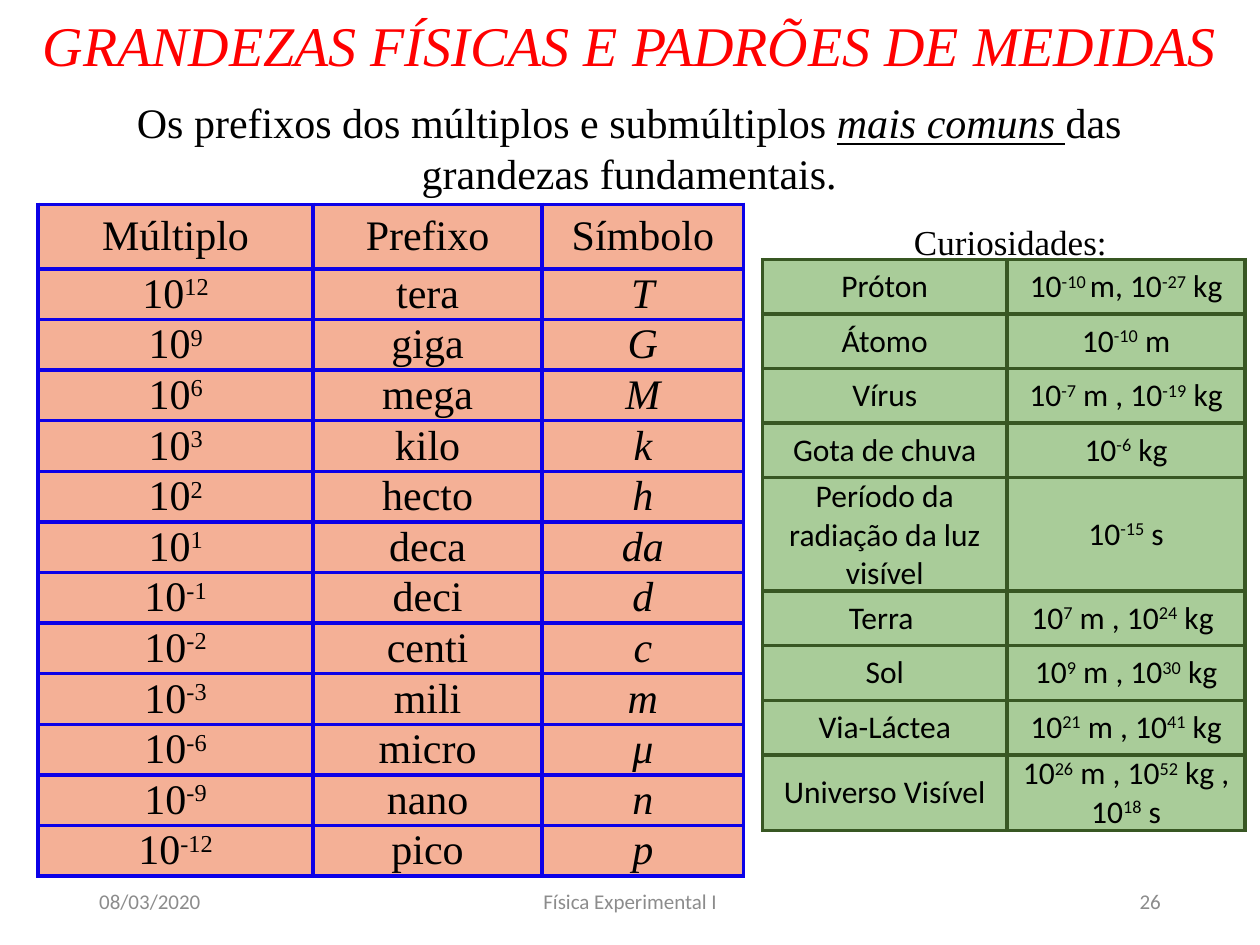
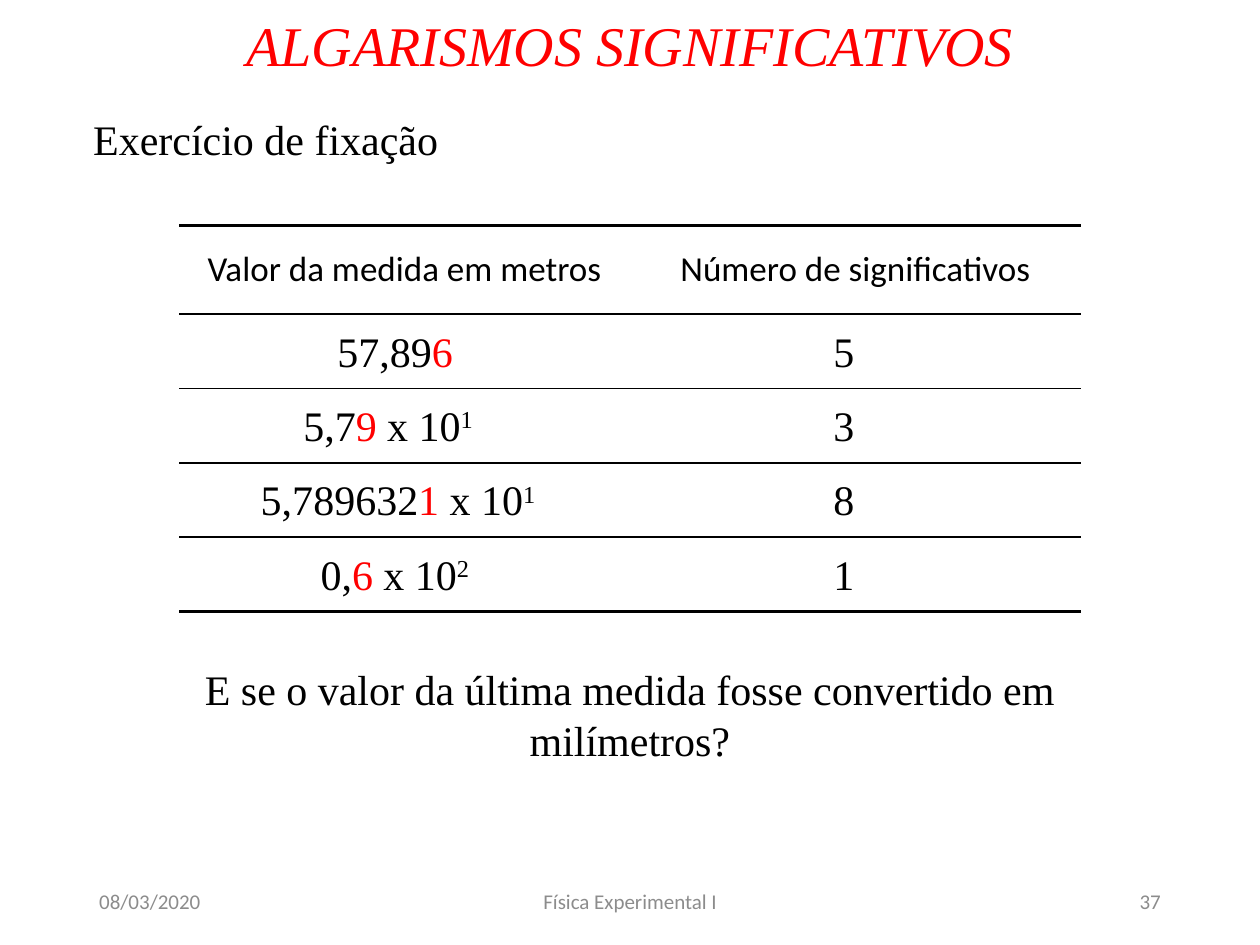
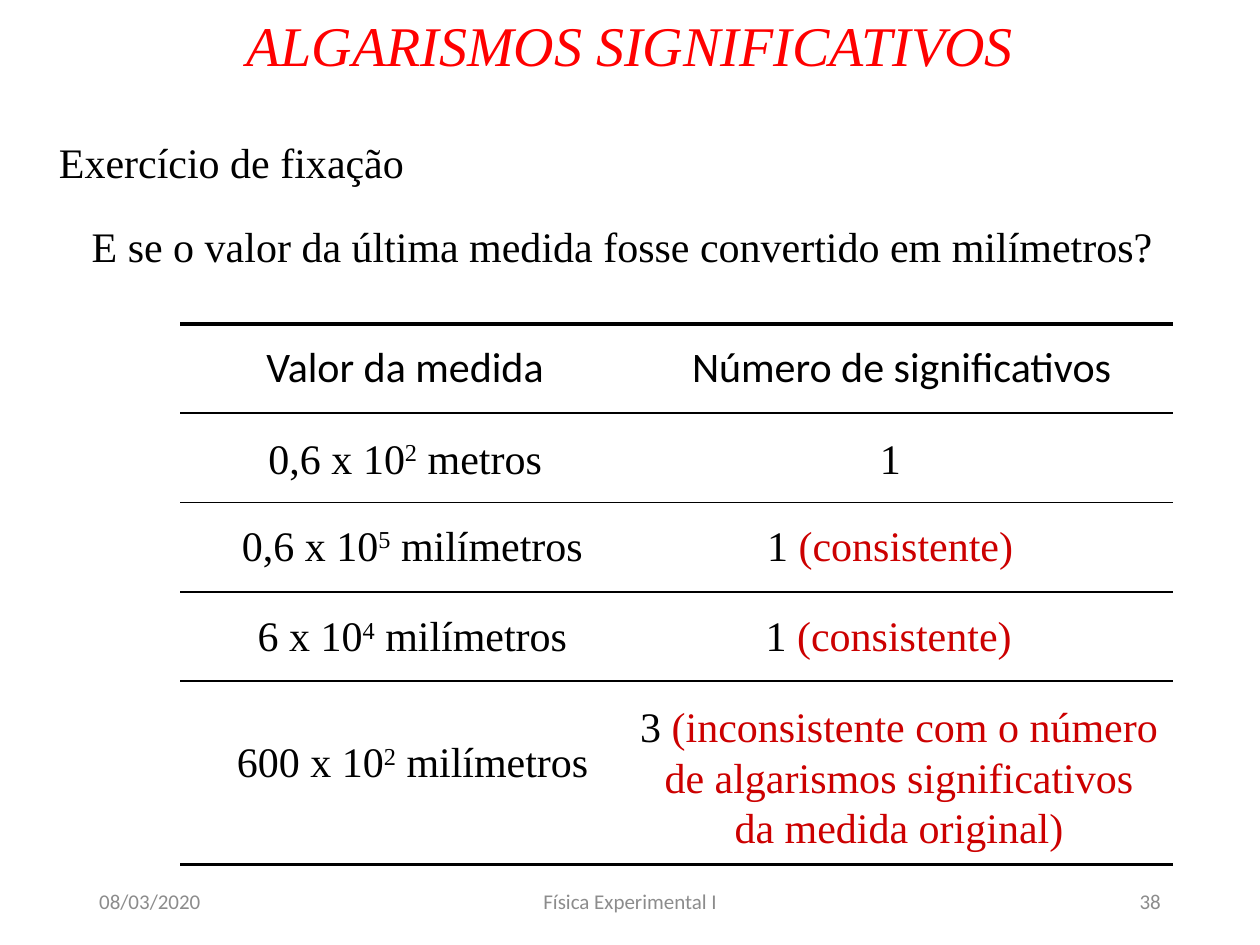
"""Builds three physics slides on unit prefixes and significant figures."""
from dataclasses import dataclass

from lxml import etree
from pptx import Presentation
from pptx import util as u
from pptx.dml.color import RGBColor
from pptx.enum import text
from pptx.oxml import ns


@dataclass(frozen=True)
class Theme:
    serif: str = "Times New Roman"
    sans: str = "Calibri"
    ink: str = "000000"
    red: str = "FF0000"
    dark_red: str = "CC0000"
    gray: str = "8C8C8C"
    blue: str = "0C01E7"
    green: str = "385723"
    salmon: str = "F4B096"
    light_green: str = "A9CC99"
    title: int = 32
    body: int = 24
    label: int = 20
    fact: int = 18
    footer: int = 12
    thick: float = 2.25
    thin: float = 1


theme = Theme()
LEFT, CENTER, RIGHT = text.PP_ALIGN.LEFT, text.PP_ALIGN.CENTER, text.PP_ALIGN.RIGHT
MIDDLE, TOP = text.MSO_ANCHOR.MIDDLE, text.MSO_ANCHOR.TOP
JUSTIFY = text.PP_ALIGN.JUSTIFY


def write(frame, marked, size=theme.body, align=CENTER, font=theme.serif, color=theme.ink):
    """Add runs split at "|"; ^ raises, _ slants, = slants and underlines, ! and # colour."""
    paragraph = frame.paragraphs[0]
    paragraph.alignment = align
    for part in marked.split("|"):
        mark = part[0] if part[0] in "^_=!#" else ""
        run = paragraph.add_run()
        run.text = part[len(mark):]
        run.font.size, run.font.name = u.Pt(size), font
        tint = {"!": theme.red, "#": theme.dark_red}.get(mark, color)
        run.font.color.rgb = RGBColor.from_string(tint)
        if mark == "^":
            run._r.get_or_add_rPr().set("baseline", "30000")
        if mark in ("_", "="):
            run.font.italic = True
            run.font.underline = mark == "="
    return paragraph


def place_text(slide, marked, left, top, width, height=1.27, wrap=False, anchor=TOP, **style):
    """Add a text box measured in centimetres."""
    box = slide.shapes.add_textbox(u.Cm(left), u.Cm(top), u.Cm(width), u.Cm(height))
    box.text_frame.word_wrap = wrap
    box.text_frame.vertical_anchor = anchor
    write(box.text_frame, marked, **style)


prefixes = [("12", "tera", "T"), ("9", "giga", "G"), ("6", "mega", "M"), ("3", "kilo", "k"),
            ("2", "hecto", "h"), ("1", "deca", "da"), ("-1", "deci", "d"), ("-2", "centi", "c"),
            ("-3", "mili", "m"), ("-6", "micro", "μ"), ("-9", "nano", "n"), ("-12", "pico", "p")]
prefix_rows = [("Múltiplo", "Prefixo", "Símbolo")]
prefix_rows += [(f"10|^{power}", name, f"_{symbol}") for power, name, symbol in prefixes]
curiosities = [
    ("Próton", "10|^-10 |m, 10|^-27| kg"),
    ("Átomo", "10|^-10| m"),
    ("Vírus", "10|^-7| m , 10|^-19| kg"),
    ("Gota de chuva", "10|^-6| kg"),
    ("Período da radiação da luz visível", "10|^-15| s"),
    ("Terra ", "10|^7| m , 10|^24| kg "),
    ("Sol", "10|^9| m , 10|^30| kg"),
    ("Via-Láctea", "10|^21| m , 10|^41| kg"),
    ("Universo Visível", "10|^26| m , 10|^52| kg , 10|^18| s"),
]
empty_rows = [("", "")] * 4
prefix_table = dict(at=(0.77, 4.12), widths=[5.54, 4.62, 4.06], heights=[1.3] + [1.02] * 12,
                    rows=prefix_rows, size=theme.body, font=theme.serif,
                    fill=theme.salmon, grid=theme.blue)
curiosity_table = dict(at=(15.37, 5.23), widths=[4.93, 4.8],
                       heights=[1.1] * 4 + [2.28] + [1.1] * 3 + [1.52],
                       rows=curiosities, size=theme.fact, font=theme.sans,
                       fill=theme.light_green, grid=theme.green)
measure_table = dict(at=(3.61, 4.55), widths=[9.09, 9.09], heights=[1.78] + [1.5] * 4,
                     rows=[("Valor da medida em metros", "Número de significativos")] + empty_rows,
                     size=theme.label, font=theme.sans, fill=None, grid=None)
conversion_table = dict(at=(3.63, 6.53), widths=[9.07, 10.95], heights=[1.8] * 4 + [3.7],
                        rows=[("Valor da medida", "Número de significativos")] + empty_rows,
                        size=theme.body, font=theme.sans, fill=None, grid=None)

deck = Presentation()
deck.slide_width, deck.slide_height = u.Cm(25.4), u.Cm(19.05)
pages = []
for heading, number, tables in [
    ("GRANDEZAS FÍSICAS E PADRÕES DE MEDIDAS", "26", [prefix_table, curiosity_table]),
    ("ALGARISMOS SIGNIFICATIVOS", "37", [measure_table]),
    ("ALGARISMOS SIGNIFICATIVOS", "38", [conversion_table]),
]:
    page = deck.slides.add_slide(deck.slide_layouts[5])
    pages.append(page)
    title = page.shapes.title
    title.left, title.top, title.width, title.height = u.Cm(0), u.Cm(-0.86), u.Cm(25.4), u.Cm(3.68)
    title.text_frame.vertical_anchor = MIDDLE
    line = write(title.text_frame, "_" + heading, theme.title, color=theme.red)
    line.line_spacing = 0.9

    for caption, left, width, align in [("08/03/2020", 1.75, 5.72, LEFT),
                                        ("Física Experimental I", 8.41, 8.59, CENTER),
                                        (number, 17.93, 5.72, RIGHT)]:
        place_text(page, caption, left, 17.65, width, 1.02, True, MIDDLE, size=theme.footer,
                   align=align, font=theme.sans, color=theme.gray)

    for plan in tables:
        rows, grid = plan["rows"], plan["grid"]
        table = page.shapes.add_table(
            len(rows), len(plan["widths"]), *map(u.Cm, plan["at"]),
            u.Cm(sum(plan["widths"])), u.Cm(sum(plan["heights"]))).table
        table.first_row = table.horz_banding = False
        for column, width in zip(table.columns, plan["widths"]):
            column.width = u.Cm(width)
        for r, (row, height) in enumerate(zip(rows, plan["heights"])):
            table.rows[r].height = u.Cm(height)
            edges = dict.fromkeys("LRTB", theme.thick)
            if not grid:
                edges = {"L": 0, "R": 0, "T": theme.thin if r else theme.thick,
                         "B": theme.thin if r < len(rows) - 1 else theme.thick}
            for c, content in enumerate(row):
                cell = table.cell(r, c)
                cell.vertical_anchor = MIDDLE
                cell.margin_left = cell.margin_right = u.Cm(0.15 if grid else 0.2)
                cell.margin_top = cell.margin_bottom = u.Cm(0 if grid else 0.1)
                for side, weight in edges.items():
                    border = etree.SubElement(cell._tc.get_or_add_tcPr(), ns.qn(f"a:ln{side}"),
                                              w=str(u.Pt(weight)))
                    paint = etree.SubElement(border, ns.qn("a:solidFill" if weight else "a:noFill"))
                    if weight:
                        etree.SubElement(paint, ns.qn("a:srgbClr"), val=grid or theme.ink)
                if plan["fill"]:
                    cell.fill.solid()
                    cell.fill.fore_color.rgb = RGBColor.from_string(plan["fill"])
                else:
                    cell.fill.background()
                if content:
                    write(cell.text_frame, content, plan["size"], font=plan["font"])

prefix_page, measure_page, conversion_page = pages
question = "E se o valor da última medida fosse convertido em milímetros?"
exercise = "Exercício de fixação"

place_text(prefix_page, "Os prefixos dos múltiplos e submúltiplos |=mais comuns |"
           "das grandezas fundamentais.", 0.91, 1.83, 23.55, 2.31, True)
place_text(prefix_page, "Curiosidades:", 17.68, 4.32, 5.38, 1.12, True, size=theme.label)

place_text(measure_page, exercise, 1.63, 2.16, 7.5, align=LEFT)
place_text(measure_page, question, 3.43, 13.26, 18.54, 2.29, True)
for i, (value, left, width, digits) in enumerate([
    ("57,89|!6", 6.53, 2.87, "5"),
    ("5,7|!9| x 10|^1", 5.82, 4.01, "3"),
    ("5,789632|!1| x 10|^1", 4.95, 6.15, "8"),
    ("0,|!6| x 10|^2", 6.17, 3.58, "1"),
]):
    place_text(measure_page, value, left, 6.43 + 1.5 * i, width)
    place_text(measure_page, digits, 16.54, 6.43 + 1.5 * i, 0.94)

place_text(conversion_page, exercise, 0.94, 2.62, 7.5, align=LEFT)
place_text(conversion_page, question, 1.6, 4.32, 22.1, wrap=True, align=JUSTIFY)
for answer, left, top, width in [
    ("0,6 x 10|^2| metros", 5.11, 8.59, 6.12),
    ("1", 17.48, 8.59, 0.94),
    ("0,6 x 10|^5| milímetros", 4.57, 10.34, 7.49),
    ("1 |#(consistente)", 15.19, 10.34, 5.51),
    ("6 x 10|^4| milímetros", 4.9, 12.17, 6.83),
    ("1 |#(consistente)", 15.16, 12.17, 5.51),
    ("600 x 10|^2| milímetros", 4.47, 14.71, 7.7),
]:
    place_text(conversion_page, answer, left, top, width)
place_text(conversion_page, "3 |#(inconsistente com o número de algarismos significativos "
           "da medida original)", 12.65, 14, 10.95, 3.33, True)

deck.save("out.pptx")
